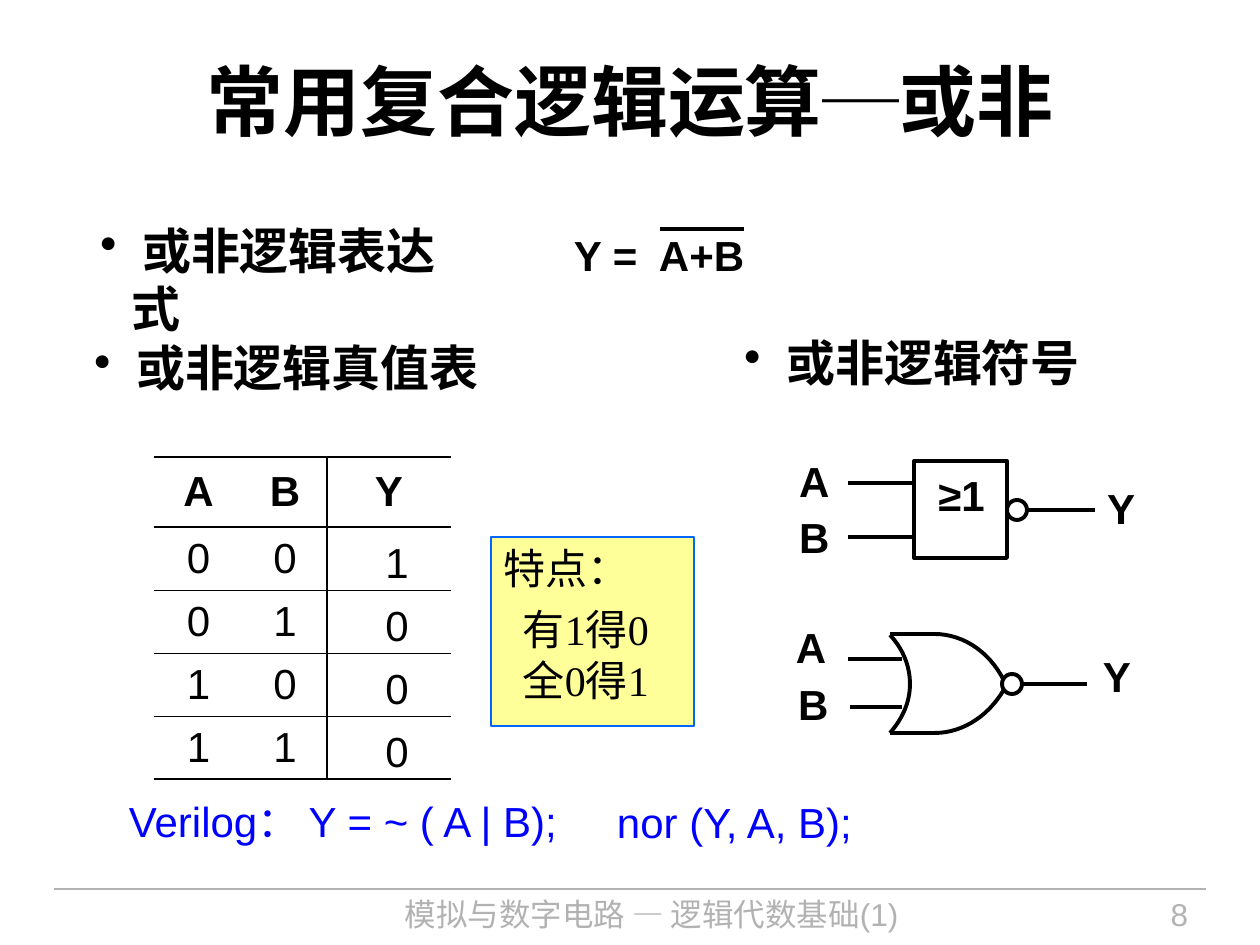
from lxml import etree
from pptx import Presentation
from pptx import util as u
from pptx.dml.color import RGBColor
from pptx.enum import shapes, text
from pptx.oxml.ns import qn

EMU_PER_PX = 914400 / 126
COLORS = {"ink": "000000", "footer": "B2B2B2", "note": "FFFF99",
          "note_edge": "0066FF", "code": "0000FF", "paper": "FFFFFF"}
LEFT, CENTER, RIGHT = text.PP_ALIGN.LEFT, text.PP_ALIGN.CENTER, text.PP_ALIGN.RIGHT
MIDDLE = text.MSO_ANCHOR.MIDDLE
INSET = (13, 6)


def px(n):
    return u.Emu(round(n * EMU_PER_PX))


def rgb(name):
    return RGBColor.from_string(COLORS[name])


def style(font, size, color="ink", bold=False, face="Arial"):
    font.size, font.bold, font.name = u.Pt(size), bold, face
    font.color.rgb = rgb(color)


def inset(target, margins):
    target.margin_left = target.margin_right = px(margins[0])
    target.margin_top = target.margin_bottom = px(margins[1])


def add_text(slide, box, words, size, align=LEFT, margins=INSET, spacing=None,
             wrap=True, **look):
    frame = slide.shapes.add_textbox(*map(px, box)).text_frame
    frame.word_wrap = wrap
    inset(frame, margins)
    paragraph = frame.paragraphs[0]
    paragraph.text = words
    paragraph.alignment = align
    if spacing:
        paragraph.line_spacing = spacing
    style(paragraph.font, size, **look)
    return paragraph


def add_heading(slide, box, words, **options):
    """Bulleted bold heading with a hanging indent."""
    paragraph = add_text(slide, box, " " + words, 28, bold=True, **options)
    props = paragraph._p.get_or_add_pPr()
    props.set("marL", str(px(31)))
    props.set("indent", str(-px(31)))
    bullet = etree.Element(qn("a:buChar"), char="•")
    props.find(qn("a:defRPr")).addprevious(bullet)


def add_line(slide, x1, y1, x2, y2, color="ink", width=2.25):
    line = slide.shapes.add_connector(shapes.MSO_CONNECTOR.STRAIGHT,
                                      *map(px, (x1, y1, x2, y2)))
    line.line.color.rgb = rgb(color)
    line.line.width = u.Pt(width)
    etree.SubElement(line._element.spPr, qn("a:effectLst"))


def outline(shape, fill=None, edge="ink", width=2.25):
    shape.shadow.inherit = False
    if fill:
        shape.fill.solid()
        shape.fill.fore_color.rgb = rgb(fill)
    else:
        shape.fill.background()
    shape.line.color.rgb = rgb(edge)
    shape.line.width = u.Pt(width)


def add_shape(slide, kind, box, **look):
    shape = slide.shapes.add_shape(kind, *map(px, box))
    outline(shape, **look)
    return shape


def add_curve(slide, left, top, start, *beziers, steps=16):
    """Open outline through cubic Béziers, each (control, control, end)."""
    points = [start]
    for c1, c2, end in beziers:
        p0 = points[-1]
        for step in range(1, steps + 1):
            t = step / steps
            points.append(tuple(
                (1 - t) ** 3 * a + 3 * t * (1 - t) ** 2 * b + 3 * t * t * (1 - t) * c + t ** 3 * d
                for a, b, c, d in zip(p0, c1, c2, end)))
    emu = [(px(left + x), px(top + y)) for x, y in points]
    builder = slide.shapes.build_freeform(*emu[0], scale=1.0)
    builder.add_line_segments(emu[1:], close=False)
    outline(builder.convert_to_shape())


def add_terminals(slide, left, top, labels, leads):
    for name, x, y in labels:
        add_text(slide, (left + x, top + y, 30, 45), name, 24, CENTER, (0, 0), 0.9, bold=True)
    for x1, x2, y in leads:
        add_line(slide, left + x1, top + y, left + x2, top + y)


def box_gate(slide, left, top):
    add_terminals(slide, left, top, [("A", 0, 0), ("B", 0, 56), ("Y", 307, 27)],
                  [(49, 116, 22), (49, 116, 76), (229, 296, 49)])
    add_text(slide, (left + 128, top + 14, 69, 45), "≥1", 24, CENTER, (0, 0), 0.9, bold=True)
    add_shape(slide, shapes.MSO_SHAPE.RECTANGLE, (left + 115, top, 93, 97))
    add_shape(slide, shapes.MSO_SHAPE.OVAL, (left + 208, top + 39, 20, 20))


def curved_gate(slide, left, top):
    add_terminals(slide, left, top, [("A", 0, 0), ("B", 2, 57), ("Y", 306, 29)],
                  [(52, 106, 32), (54, 106, 80), (226, 291, 57),
                   (94, 141, 7), (94, 141, 106)])
    add_curve(slide, left, top, (138, 7), ((169, 7), (197, 27), (211, 60)))
    add_curve(slide, left, top, (139, 106), ((168, 106), (196, 87), (211, 57)))
    add_curve(slide, left, top, (94, 8), ((107, 22), (114, 39), (114, 57)),
              ((114, 75), (107, 91), (94, 106)))
    add_shape(slide, shapes.MSO_SHAPE.OVAL, (left + 206, top + 47, 20, 20), fill="paper")


def set_borders(cell, **widths):
    props = cell._tc.get_or_add_tcPr()
    for side in "LRTB":
        width = widths.get(side, 0)
        edge = etree.SubElement(props, qn(f"a:ln{side}"), w=str(u.Pt(width)))
        if width:
            fill = etree.SubElement(edge, qn("a:solidFill"))
            etree.SubElement(fill, qn("a:srgbClr"), val=COLORS["ink"])
        else:
            etree.SubElement(edge, qn("a:noFill"))


def add_grid(slide, left, top, widths, heights, rows, borders):
    """Table of centred values; borders(row, column) gives the line widths by side."""
    table = slide.shapes.add_table(len(rows), len(widths), px(left), px(top),
                                   px(sum(widths)), px(sum(heights))).table
    table.first_row = table.horz_banding = False
    for column, width in zip(table.columns, widths):
        column.width = px(width)
    for r, (row, height) in enumerate(zip(rows, heights)):
        table.rows[r].height = px(height)
        for c, value in enumerate(row):
            cell = table.cell(r, c)
            set_borders(cell, **borders(r, c))
            cell.fill.background()
            cell.vertical_anchor = MIDDLE
            inset(cell, (13, 2))
            paragraph = cell.text_frame.paragraphs[0]
            paragraph.text = value
            paragraph.alignment = CENTER
            style(paragraph.font, 24, bold=value.isalpha())


def truth_table(slide, left, top):
    inputs = [("A", "B", "Y")] + [(a, b, "") for a in "01" for b in "01"]
    rules = [1.08, 1.08, 0.45, 0.45, 0.45, 1.08]

    def borders(r, c):
        sides = {"T": rules[r], "B": rules[r + 1]}
        if c:
            sides["R" if c == 1 else "L"] = 1.08
        return sides

    add_grid(slide, left, top, [89, 84, 124], [70] + [63] * 4, inputs, borders)
    add_grid(slide, left + 184, top + 75, [118], [63] * 4, list("1000"), lambda r, c: {})


def feature_note(slide, box):
    frame = add_shape(slide, shapes.MSO_SHAPE.RECTANGLE, box, fill="note",
                      edge="note_edge", width=1.5).text_frame
    frame.word_wrap = False
    frame.vertical_anchor = text.MSO_ANCHOR.TOP
    inset(frame, INSET)
    frame.text = "特点：\n有1得0\n全0得1"
    for i, paragraph in enumerate(frame.paragraphs):
        paragraph.alignment = LEFT
        if i:
            paragraph._p.get_or_add_pPr().set("marL", str(px(19)))
        style(paragraph.font, 24, face="Times New Roman")
    frame.paragraphs[1].space_before = u.Pt(6)


def title(slide, box):
    frame = slide.shapes.add_textbox(*map(px, box)).text_frame
    frame.word_wrap = True
    frame.vertical_anchor = MIDDLE
    paragraph = frame.paragraphs[0]
    paragraph.alignment = CENTER
    for words, face in (("常用复合逻辑运算", "Arial"), ("─", "Times New Roman"), ("或非", "Arial")):
        run = paragraph.add_run()
        run.text = words
        style(run.font, 44, bold=True, face=face)


def expression(slide, left, top):
    paragraph = add_text(slide, (left, top, 255, 63), "Y =\tA+B", 24, bold=True)
    tabs = etree.Element(qn("a:tabLst"))
    etree.SubElement(tabs, qn("a:tab"), pos=str(px(85)), algn="l")
    paragraph._p.pPr.find(qn("a:defRPr")).addprevious(tabs)
    add_line(slide, left + 99, top + 5, left + 183, top + 5)


def footer(slide, left, top):
    add_line(slide, left, top, left + 1152, top, "footer", 0.75)
    add_text(slide, (left + 260, top, 675, 55), "模拟与数字电路 — 逻辑代数基础(1)",
             18, CENTER, color="footer")
    add_text(slide, (left + 979, top, 168, 55), "8", 18, RIGHT, color="footer")


def main():
    deck = Presentation()
    deck.slide_width, deck.slide_height = px(1260), px(945)
    slide = deck.slides.add_slide(deck.slide_layouts[6])
    footer(slide, 54, 889)
    title(slide, (63, 21, 1134, 158))
    add_heading(slide, (94, 344, 435, 53), "或非逻辑真值表", margins=(0, 0), spacing=0.9)
    add_heading(slide, (87, 214, 396, 72), "或非逻辑表达式")
    add_heading(slide, (730, 339, 364, 53), "或非逻辑符号", align=CENTER,
                margins=(0, 0), spacing=0.9)
    expression(slide, 561, 224)
    feature_note(slide, (491, 537, 203, 189))
    box_gate(slide, 799, 461)
    curved_gate(slide, 796, 627)
    truth_table(slide, 154, 457)
    add_text(slide, (116, 790, 481, 63), "Verilog： Y = ~ ( A | B);", 24, color="code", wrap=False)
    add_text(slide, (604, 791, 267, 63), "nor (Y, A, B);", 24, color="code", wrap=False)
    deck.save("out.pptx")


if __name__ == "__main__":
    main()
